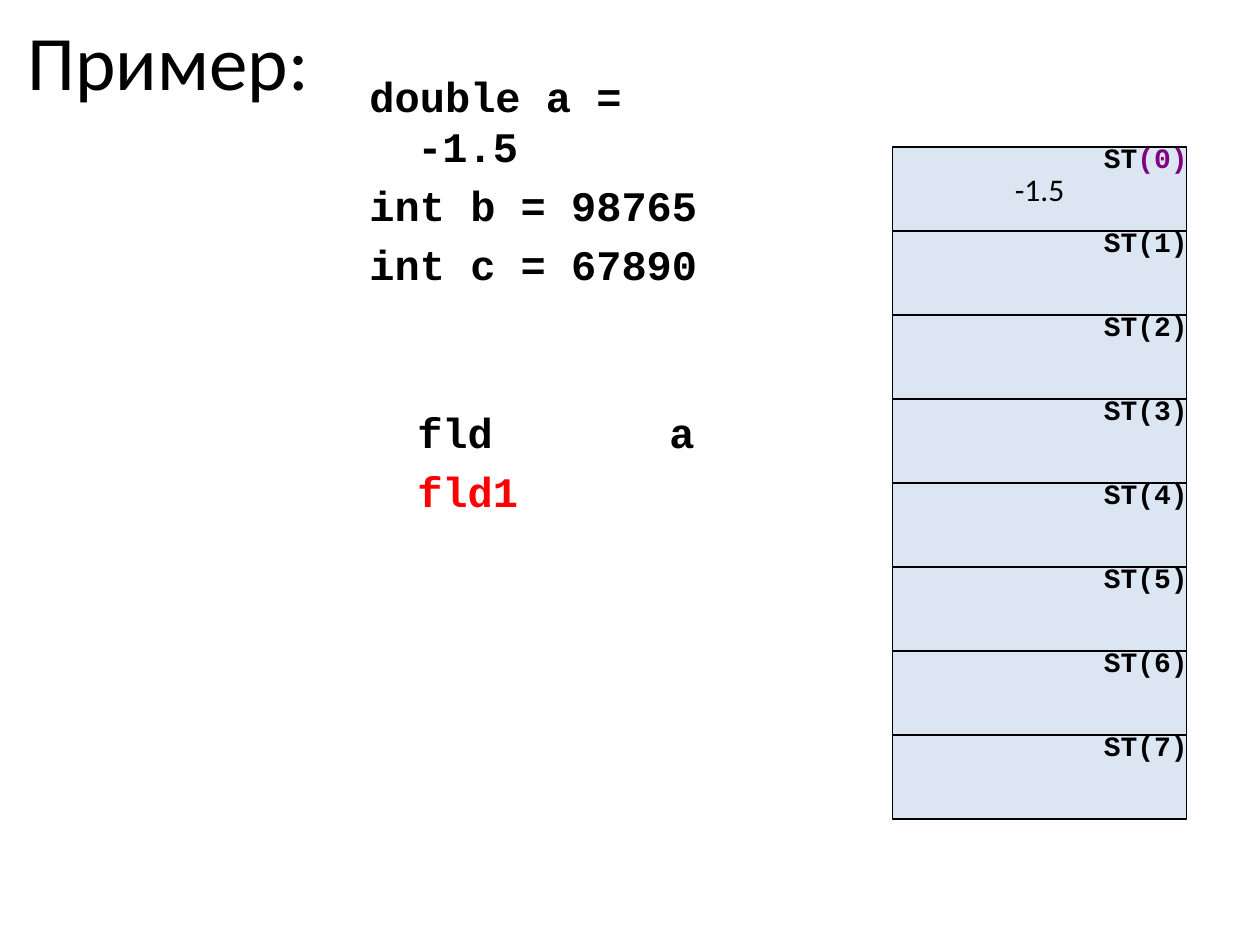
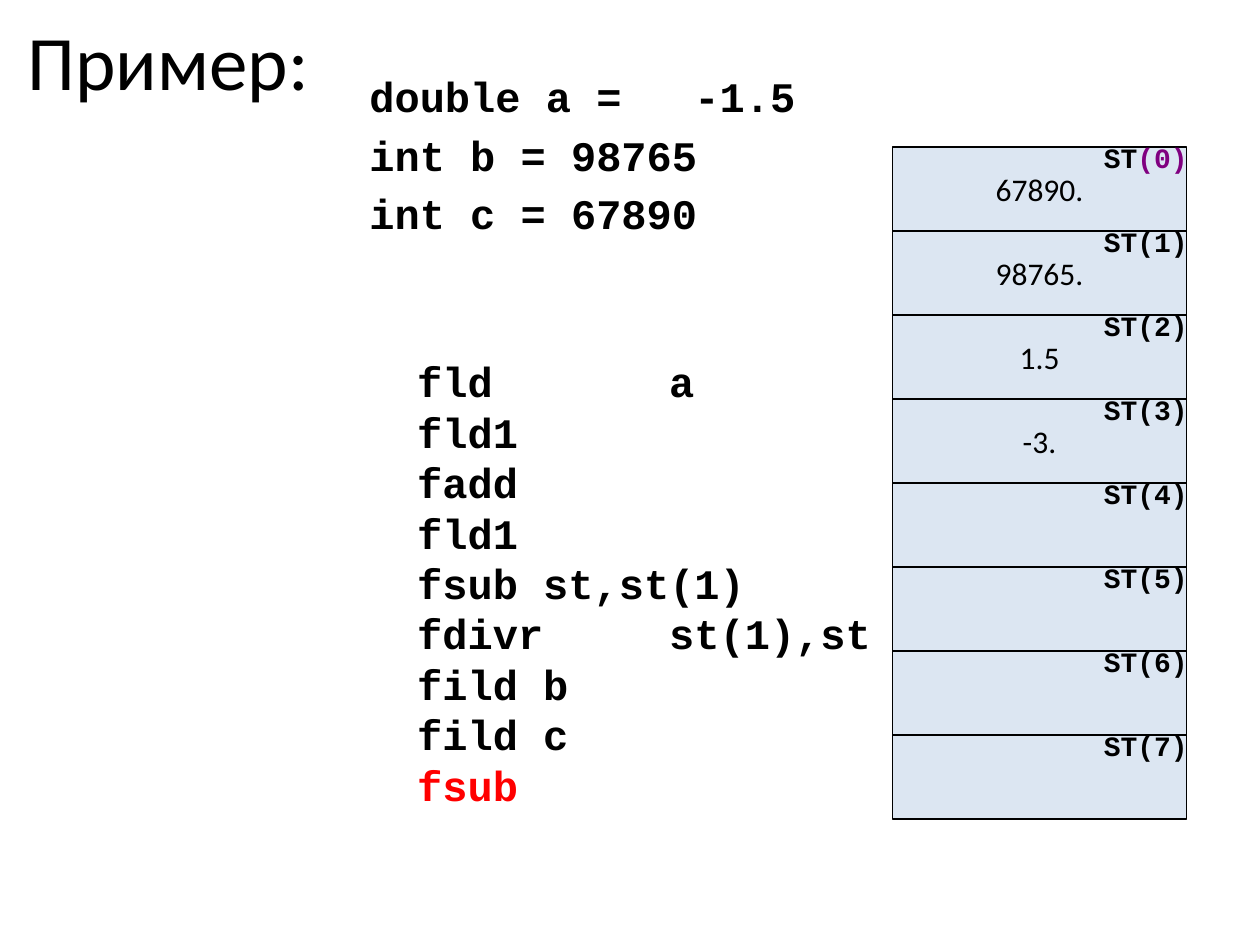
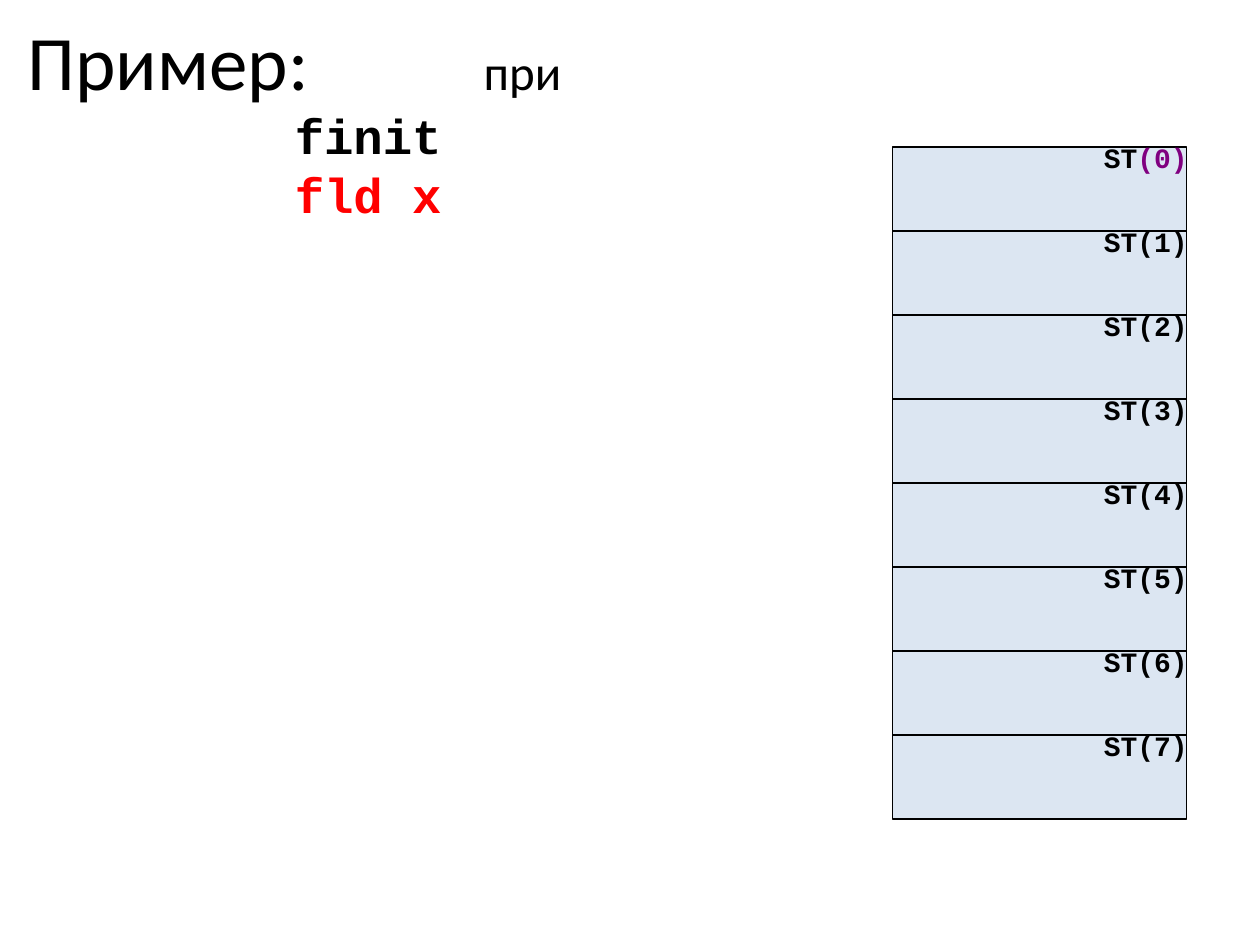
from lxml import etree
from pptx import Presentation
from pptx.dml.color import RGBColor
from pptx.enum.shapes import MSO_SHAPE
from pptx.enum.text import MSO_ANCHOR, PP_ALIGN
from pptx.oxml.ns import qn
from pptx.util import Inches, Pt

RECTANGLE = MSO_SHAPE.RECTANGLE
MIDDLE = MSO_ANCHOR.MIDDLE
CENTER = PP_ALIGN.CENTER

# Grid: 120 columns by 90 rows, one twelfth of an inch each
CELL = Inches(1) // 12
REGISTERS = 8
REGISTER_ROWS = 8
NO_STYLE_NO_GRID = "{2D5ABB26-0587-4C30-8999-92F81FD0307C}"

BLACK, RED, PURPLE, PALE_BLUE = "000000", "FF0000", "800080", "DCE6F2"
BODY_FONT, CODE_FONT = "Calibri", "Courier New"

DECLARATIONS = ["double a =\t -1.5", "int b = 98765", "int c = 67890"]


def color(value):
    return RGBColor.from_string(value)


def grid(*units):
    return [round(unit * CELL) for unit in units]


class StackDeck:
    """Slides with code on the left and the register stack on the right."""

    def __init__(self):
        self.deck = Presentation()
        self.deck.slide_width, self.deck.slide_height = grid(120, 90)
        self.page = None

    def add_page(self):
        self.page = self.deck.slides.add_slide(self.deck.slide_layouts[6])

    def style(self, font, size, ink=BLACK, name=BODY_FONT, bold=False):
        font.name, font.size, font.bold = name, Pt(size), bold
        font.color.rgb = color(ink)

    def text_box(self, left, top, width, height):
        box = self.page.shapes.add_textbox(*grid(left, top, width, height))
        box.text_frame.word_wrap = True
        return box.text_frame

    def title(self, text, note=""):
        para = self.text_box(1.44, 0.72, 113.4, 15).paragraphs[0]
        span = para.add_run()
        span.text = text
        self.style(span.font, 44)
        if note:
            stops = etree.SubElement(para._p.get_or_add_pPr(), qn("a:tabLst"))
            etree.SubElement(stops, qn("a:tab"), pos=str(Inches(3.62)), algn="l")
            span = para.add_run()
            span.text = "\t" + note
            self.style(span.font, 28)

    def code_line(self, frame, text, size, ink=BLACK, before=0, left=0, hanging=0):
        first = frame.paragraphs[0]
        para = frame.add_paragraph() if first.runs else first
        para.add_run().text = text
        self.style(para.font, size, ink, CODE_FONT, True)
        para.space_before = Pt(before)
        properties = para._p.get_or_add_pPr()
        properties.set("marL", str(Inches(left)))
        properties.set("indent", str(-Inches(hanging)))
        properties.set("defTabSz", str(Inches(1)))

    def program(self, width, commands, spacing=0):
        """Declarations, a gap, then commands with the last one in red."""
        frame = self.text_box(34, 6.12, width, 73)
        for text in DECLARATIONS:
            self.code_line(frame, text, 24, before=4.8, left=0.38, hanging=0.38)
        for index, text in enumerate(commands):
            ink = RED if index == len(commands) - 1 else BLACK
            before = spacing if index else 67.2
            self.code_line(frame, text, 24, ink, before, left=0.38)

    def register(self, index, value):
        top = 14 + index * REGISTER_ROWS
        box = self.page.shapes.add_shape(RECTANGLE, *grid(85, top, 28, REGISTER_ROWS))
        box.shadow.inherit = False
        box.fill.solid()
        box.fill.fore_color.rgb = color(PALE_BLUE)
        box.line.color.rgb = color(BLACK)
        box.line.width = Pt(0.75)
        if value:
            frame = box.text_frame
            frame.word_wrap = False
            frame.vertical_anchor = MIDDLE
            para = frame.paragraphs[0]
            para.text, para.alignment = value, CENTER
            self.style(para.font, 18)

    def register_names(self):
        frame = self.page.shapes.add_table(
            REGISTERS, 2, *grid(96.84, 13.8, 24.56, REGISTERS * REGISTER_ROWS))
        frame.element.find(".//" + qn("a:tableStyleId")).text = NO_STYLE_NO_GRID
        table = frame.table
        table.first_row = table.horz_banding = False
        for index in range(REGISTERS):
            cell = table.cell(index, 0)
            cell.merge(table.cell(index, 1))
            cell.fill.background()
            cell.margin_top = cell.margin_bottom = 0
            para = cell.text_frame.paragraphs[0]
            para.alignment, para.space_before = CENTER, Pt(3.2)
            number_ink = BLACK if index else PURPLE
            for text, ink in (("ST", BLACK), (f"({index})", number_ink)):
                span = para.add_run()
                span.text = text
                self.style(span.font, 16, ink, CODE_FONT, True)

    def stack(self, values=()):
        for index in range(REGISTERS):
            self.register(index, values[index] if index < len(values) else "")
        self.register_names()


def main():
    show = StackDeck()

    # First load onto the stack
    show.add_page()
    show.program(42.25, ["fld\t\ta", "fld1"], spacing=4.8)
    show.stack(["-1.5"])
    show.title("Пример:")

    # Whole computation
    show.add_page()
    show.program(54, ["fld\t\ta", "fld1", "fadd", "fld1", "fsub\tst,st(1)",
                      "fdivr\tst(1),st", "fild\tb", "fild\tc", "fsub"])
    show.stack(["67890.", "98765.", "1.5", "-3."])
    show.title("Пример:")

    # Second example, empty stack
    show.add_page()
    frame = show.text_box(26.9, 9.5, 61.9, 73)
    show.code_line(frame, "finit", 28)
    show.code_line(frame, "fld x", 28, RED)
    show.stack()
    show.title("Пример:", "при")

    show.deck.save("out.pptx")


if __name__ == "__main__":
    main()
